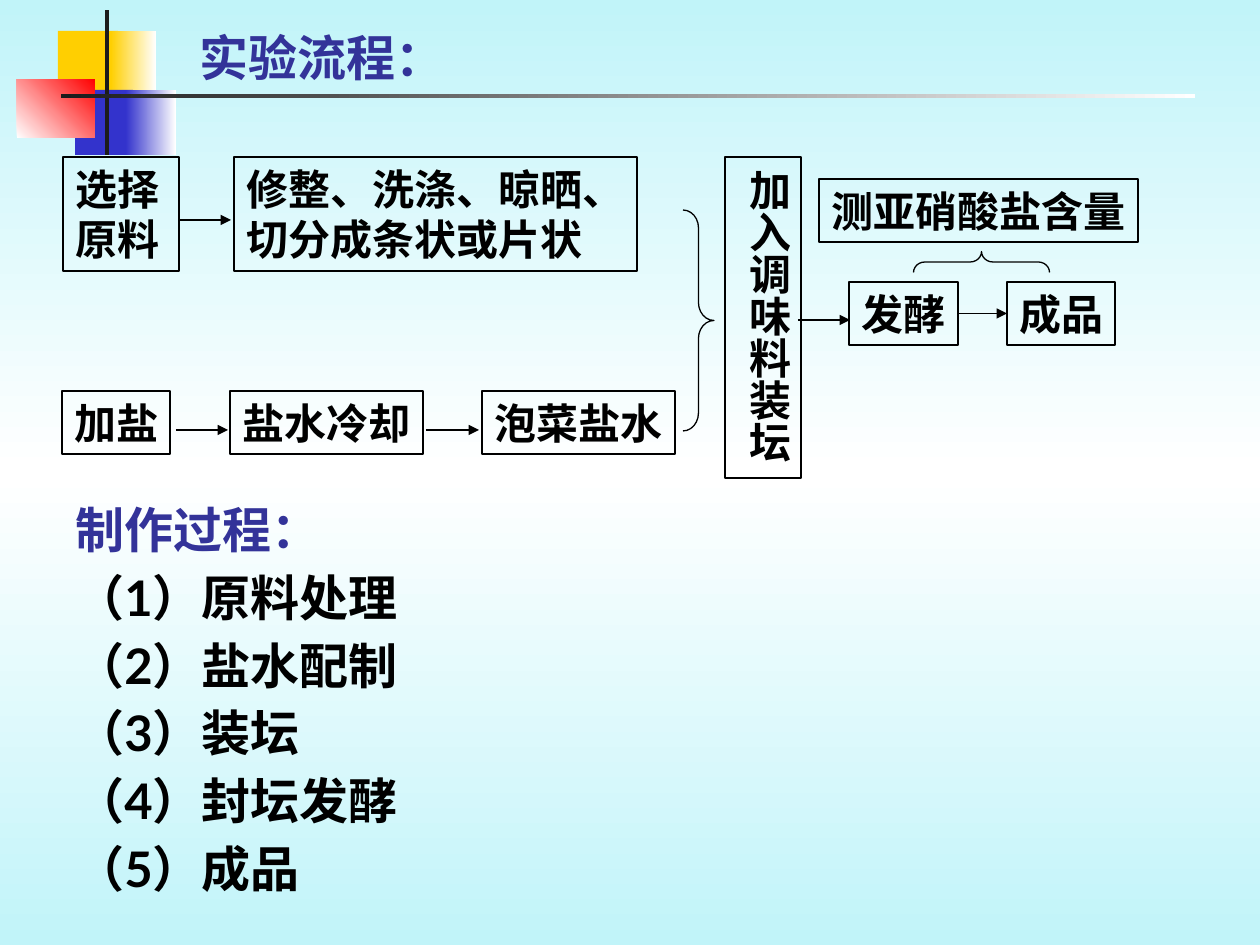
"""Build the slide on the experiment flow and production steps of pickled vegetables."""
from copy import deepcopy

from lxml.etree import SubElement
from pptx import Presentation
from pptx.dml.color import RGBColor
from pptx.enum.shapes import MSO_CONNECTOR, MSO_SHAPE
from pptx.enum.text import MSO_ANCHOR, PP_ALIGN
from pptx.oxml.ns import qn
from pptx.util import Pt

SCALE = 914400 / 126
FONT = "Lato"
COLORS = {
    "sky": "C1F4F9", "white": "FFFFFF", "yellow": "FFCF01", "blue": "3333CC",
    "red": "FF0000", "charcoal": "1C1C1C", "heading": "333399", "black": "000000",
}

# left, top, width, height, colour stops, gradient angle
ORNAMENTS = [
    (58, 31, 60, 66, ["yellow"], 0),
    (111, 31, 45, 66, ["yellow", "white"], 0),
    (75, 90, 58, 65, ["blue"], 0),
    (126, 90, 50, 65, ["blue", "white"], 0),
    (17, 79, 78, 59, ["white", "red"], 45),
    (105, 10, 4, 145, ["charcoal"], 0),
    (61, 94, 1134, 4, ["charcoal", "white"], 0),
]
TITLE = ["实验流程："]
PROCESS = ["制作过程：", "（1）原料处理", "（2）盐水配制", "（3）装坛", "（4）封坛发酵", "（5）成品"]

# name: lines, left, top, width, height
STEPS = {
    "select": (["选择原料"], 63, 157, 116, 114),
    "trim": (["修整、洗涤、晾晒、", "切分成条状或片状"], 234, 157, 403, 114),
    "salt": (["加盐"], 62, 391, 108, 63),
    "cool": (["盐水冷却"], 230, 391, 193, 63),
    "brine": (["泡菜盐水"], 482, 391, 193, 63),
    "jar": (["加入调味料装坛"], 725, 157, 76, 321),
    "ferment": (["发酵"], 849, 282, 109, 63),
    "product": (["成品"], 1007, 282, 108, 63),
    "nitrite": (["测亚硝酸盐含量"], 819, 179, 319, 63),
}
WRAPPED = {"select", "jar"}
VERTICAL = {"jar"}

# start x, end x, y
ARROWS = [(179, 231, 220), (176, 228, 430), (426, 479, 430), (798, 850, 320)]
JOINED_ARROWS = [("ferment", "product")]

# shape, left, top, width, height, rotation, curve
BRACES = [
    (MSO_SHAPE.RIGHT_BRACE, 683, 210, 31, 221, 0, 0.58),
    (MSO_SHAPE.LEFT_BRACE, 971, 194, 21, 136, 90, 0.54),
]


def px(*values):
    return [round(value * SCALE) for value in values]


def rgb(name):
    return RGBColor.from_string(COLORS[name])


def paint(fill, names, angle):
    if len(names) == 1:
        fill.solid()
        fill.fore_color.rgb = rgb(names[0])
        return
    fill.gradient()
    fill.gradient_angle = angle
    stop_list = fill._fill._gradFill.gsLst
    for _ in names[2:]:
        stop_list.append(deepcopy(stop_list[0]))
    for index, (stop, name) in enumerate(zip(fill.gradient_stops, names)):
        stop.position = index / (len(names) - 1)
        stop.color.rgb = rgb(name)


def outline(shape):
    shape.line.color.rgb = rgb("black")
    shape.line.width = Pt(0.75)


def add_outlined(slide, kind, box):
    shape = slide.shapes.add_shape(kind, *px(*box))
    shape.shadow.inherit = False
    shape.fill.background()
    outline(shape)
    return shape


def write(shape, lines, size, colors, anchor, spacing=1.0):
    frame = shape.text_frame
    frame.vertical_anchor = anchor
    for index, (line, color) in enumerate(zip(lines, colors)):
        paragraph = frame.add_paragraph() if index else frame.paragraphs[0]
        paragraph.text = line
        paragraph.alignment = PP_ALIGN.LEFT
        paragraph.line_spacing = spacing
        paragraph.font.name = FONT
        paragraph.font.size = Pt(size)
        paragraph.font.bold = True
        paragraph.font.color.rgb = rgb(color)
    return frame


def add_heading_box(slide, lines, box, spacing=1.0):
    shape = slide.shapes.add_textbox(*px(*box))
    colors = ["heading"] + ["black"] * (len(lines) - 1)
    write(shape, lines, 28, colors, MSO_ANCHOR.BOTTOM, spacing).word_wrap = True


def add_step(slide, name):
    lines, *box = STEPS[name]
    shape = add_outlined(slide, MSO_SHAPE.RECTANGLE, box)
    frame = write(shape, lines, 24, ["black"] * len(lines), MSO_ANCHOR.TOP)
    frame.word_wrap = name in WRAPPED
    if name in VERTICAL:
        shape.element.txBody.bodyPr.set("vert", "eaVert")
        frame.margin_left = frame.margin_right = Pt(3.6)
        frame.margin_top = frame.margin_bottom = Pt(7.2)
    return shape


def add_arrow(slide, start, end, y):
    arrow = slide.shapes.add_connector(MSO_CONNECTOR.STRAIGHT, *px(start, y, end, y))
    outline(arrow)
    SubElement(arrow.line._get_or_add_ln(), qn("a:tailEnd"), type="triangle")
    SubElement(arrow.element.spPr, qn("a:effectLst"))
    return arrow


def main():
    presentation = Presentation()
    presentation.slide_width, presentation.slide_height = px(1260, 945)
    slide = presentation.slides.add_slide(presentation.slide_layouts[6])
    paint(slide.background.fill, ["sky", "white", "sky"], 90)

    for *box, names, angle in ORNAMENTS:
        ornament = slide.shapes.add_shape(MSO_SHAPE.RECTANGLE, *px(*box))
        ornament.shadow.inherit = False
        ornament.line.fill.background()
        paint(ornament.fill, names, angle)

    add_heading_box(slide, TITLE, (187, 21, 896, 72))
    steps = {name: add_step(slide, name) for name in STEPS}
    for arrow in ARROWS:
        add_arrow(slide, *arrow)
    for source, target in JOINED_ARROWS:
        arrow = add_arrow(slide, 0, 1, 0)
        arrow.begin_connect(steps[source], 3)
        arrow.end_connect(steps[target], 1)
    for kind, *box, rotation, curve in BRACES:
        brace = add_outlined(slide, kind, box)
        brace.rotation = rotation
        brace.adjustments[0] = curve
    add_heading_box(slide, PROCESS, (63, 483, 896, 420), 1.15)

    presentation.save("out.pptx")


if __name__ == "__main__":
    main()
